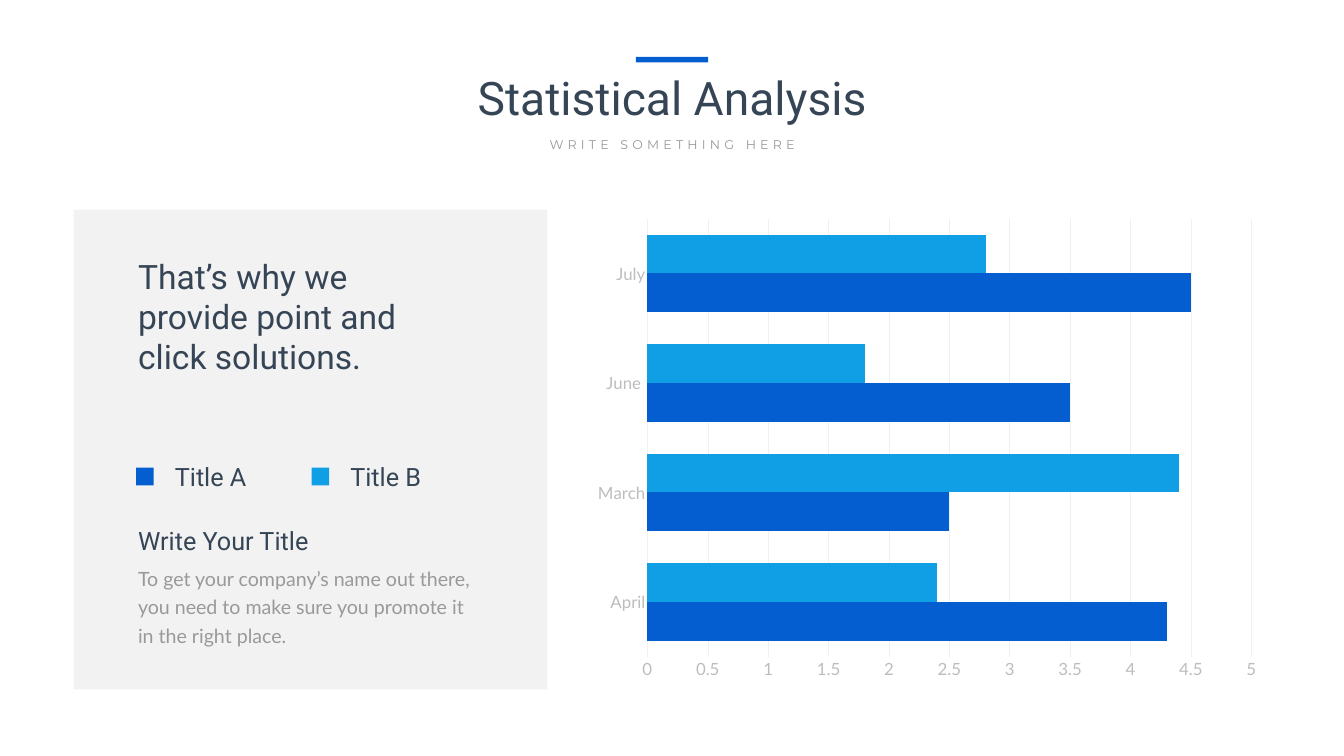
from lxml import etree
from pptx import Presentation
from pptx.chart import data
from pptx.dml.color import RGBColor
from pptx.enum import chart as kinds, shapes, text
from pptx.oxml import ns, parse_xml
from pptx.util import Inches, Pt

INK, GRAY, PALE, GRID = "364556", "999999", "BDBDBD", "F0F0F0"
BLUE, SKY = "045ED0", "109FE4"


def color(code):
    return RGBColor.from_string(code)


def place(shape, left, top, width, height):
    shape.left, shape.top = Inches(left), Inches(top)
    shape.width, shape.height = Inches(width), Inches(height)


def style(font, size, name, code):
    font.size, font.name = Pt(size), name
    font.color.rgb = color(code)


def write(slide, words, box, size=36, font="Roboto", code=INK,
          align=text.PP_ALIGN.LEFT, line=None, track=None, holder=None):
    """Put words in a placeholder, or in a new text box."""
    shape = holder or slide.shapes.add_textbox(0, 0, 0, 0)
    place(shape, *box)
    frame = shape.text_frame
    frame.word_wrap = True
    frame.auto_size = text.MSO_AUTO_SIZE.NONE
    frame.vertical_anchor = text.MSO_ANCHOR.TOP
    para = frame.paragraphs[0]
    para.alignment = align
    if line:
        para.line_spacing = Pt(line)
    run = para.add_run()
    run.text = words
    style(run.font, size, font, code)
    if track:
        run._r.get_or_add_rPr().set("spc", str(track * 100))


def block(slide, box, code, alpha=None):
    shape = slide.shapes.add_shape(shapes.MSO_SHAPE.RECTANGLE, 0, 0, 0, 0)
    place(shape, *box)
    shape.shadow.inherit = False
    shape.fill.solid()
    shape.fill.fore_color.rgb = color(code)
    shape.line.fill.background()
    if alpha:
        fill = shape._element.spPr.find(ns.qn("a:solidFill"))
        etree.SubElement(fill[0], ns.qn("a:alpha"), val=str(alpha * 1000))


def header(slide, left, top, width):
    mid = left + width / 2
    center = text.PP_ALIGN.CENTER
    write(slide, "Statistical Analysis", (left, top + 0.19, width, 1.21),
          size=66, align=center, holder=slide.shapes.title)
    write(slide, "WRITE SOMETHING HERE", (mid - 2.98, top + 1.53, 5.96, 0.4),
          size=18, font="Montserrat", code=GRAY, align=center, track=6)
    block(slide, (mid - 0.72, top, 1.43, 0.11), BLUE)


def panel(slide, left, top, width, height):
    block(slide, (left, top, width, height), "808080", alpha=10)
    edge = left + 1.18
    write(slide, "That’s why we provide point and click solutions.",
          (edge, top + 0.86, 6.14, 2.52), size=48)

    # Legend keys
    for i, (name, code) in enumerate([("Title A", BLUE), ("Title B", SKY)]):
        key = edge + 0.06 + i * 3.48
        block(slide, (key, top + 5.12, 0.35, 0.35), code)
        write(slide, name, (key + 0.67, top + 4.94, 2.48, 0.71))

    # Closing note
    write(slide, "Write Your Title", (edge, top + 6.22, 5.73, 0.71))
    write(slide, "To get your company’s name out there, you need to make sure "
          "you promote it in the right place.", (edge, top + 6.93, 7.04, 1.77),
          size=28, font="Lato", code=GRAY, line=40.8)


def bars(slide, left, top, width, height):
    table = data.CategoryChartData()
    table.categories = ["April", "March", "June ", "July"]
    table.add_series("Series 1", (4.3, 2.5, 3.5, 4.5))
    table.add_series("Series 2", (2.4, 4.4, 1.8, 2.8))
    chart = slide.shapes.add_chart(
        kinds.XL_CHART_TYPE.BAR_CLUSTERED, Inches(left), Inches(top),
        Inches(width), Inches(height), table).chart
    chart.has_legend = chart.has_title = False
    style(chart.font, 24, "Lato", GRAY)

    # Bars
    plot = chart.plots[0]
    plot.gap_width, plot.overlap, plot.vary_by_categories = 83, 0, False
    for series, code in zip(plot.series, (BLUE, SKY)):
        series.format.fill.solid()
        series.format.fill.fore_color.rgb = color(code)

    # Axes
    cat, val = chart.category_axis, chart.value_axis
    for axis in (cat, val):
        axis.major_tick_mark = axis.minor_tick_mark = kinds.XL_TICK_MARK.NONE
        style(axis.tick_labels.font, 24, "Lato", PALE)
    val.minimum_scale, val.maximum_scale, val.major_unit = 0, 5, 0.5
    val.tick_labels.number_format = "General"
    val.tick_labels.number_format_is_linked = False
    val.has_major_gridlines = True
    val.format.line.fill.background()
    for line in (cat.format.line, val.major_gridlines.format.line):
        line.color.rgb = color(GRID)
        line.width = Pt(0.75)

    # Inner plot area, as shares of the chart box
    area = chart._chartSpace.chart.plotArea
    for old in area.findall(ns.qn("c:layout")):
        area.remove(old)
    sizes = {"x": 0.092, "y": 0.02, "w": 0.881, "h": 0.913}
    parts = "".join(f'<c:{k} val="{v}"/>' for k, v in sizes.items())
    area.insert(0, parse_xml(
        f'<c:layout {ns.nsdecls("c")}><c:manualLayout>'
        '<c:layoutTarget val="inner"/><c:xMode val="edge"/>'
        f'<c:yMode val="edge"/>{parts}</c:manualLayout></c:layout>'))


def main():
    deck = Presentation()
    deck.slide_width, deck.slide_height = Inches(26.66), Inches(15)
    slide = deck.slides.add_slide(deck.slide_layouts[5])
    header(slide, 7.74, 1.13, 11.19)
    panel(slide, 1.46, 4.16, 9.4, 9.52)
    bars(slide, 11.59, 4.15, 13.6, 9.52)
    deck.save("out.pptx")


if __name__ == "__main__":
    main()
